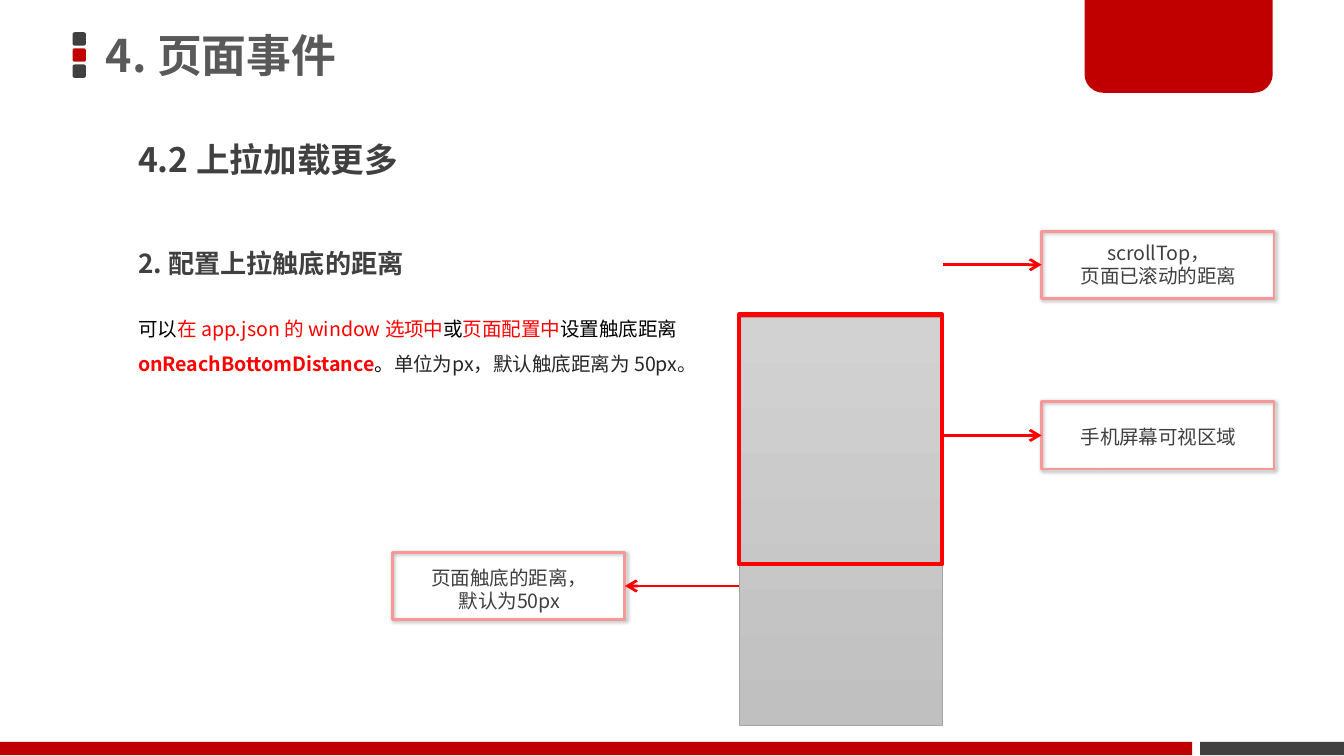
from dataclasses import dataclass

from lxml.etree import SubElement
from pptx import Presentation
from pptx.dml.color import RGBColor
from pptx.enum.shapes import MSO_CONNECTOR, MSO_SHAPE
from pptx.enum.text import MSO_ANCHOR, PP_ALIGN
from pptx.oxml.ns import qn
from pptx.util import Inches, Pt


@dataclass(frozen=True)
class Theme:
    font: str = "Noto Sans CJK SC"
    brand: str = "C00000"
    dark: str = "404040"
    title: str = "595959"
    ink: str = "262626"
    black: str = "000000"
    red: str = "FF0000"
    pink: str = "F69898"
    page_top: str = "D2D2D2"
    page_bottom: str = "C0C0C0"
    page_edge: str = "A5A5A5"
    title_size: float = 24
    section_size: float = 18
    heading_size: float = 14
    body_size: float = 10.5


theme = Theme()
prs = Presentation()
prs.slide_width = Inches(10)
prs.slide_height = Inches(10) * 9 // 16
s = prs.slides.add_slide(prs.slide_layouts[6])


def add_box(kind, box, fill=None, line=None, width=0):
    sp = s.shapes.add_shape(kind, *map(Inches, box))
    sp.shadow.inherit = False
    if fill:
        sp.fill.solid()
        sp.fill.fore_color.rgb = RGBColor.from_string(fill)
    else:
        sp.fill.background()
    if line:
        sp.line.color.rgb = RGBColor.from_string(line)
        sp.line.width = Pt(width)
    else:
        sp.line.fill.background()
    return sp


def add_text(box, paragraphs, size, spacing=1.0, anchor=MSO_ANCHOR.TOP, align=PP_ALIGN.LEFT):
    """Each paragraph is a list of (text, colour, bold) runs."""
    tf = s.shapes.add_textbox(*map(Inches, box)).text_frame
    tf.word_wrap = True
    tf.vertical_anchor = anchor
    for i, runs in enumerate(paragraphs):
        p = tf.add_paragraph() if i else tf.paragraphs[0]
        p.alignment, p.line_spacing = align, spacing
        for text, colour, bold in runs:
            r = p.add_run()
            r.text = text
            r.font.size, r.font.bold = Pt(size), bold
            r.font.color.rgb = RGBColor.from_string(colour)
            r.font.name = theme.font
            SubElement(r._r.rPr, qn("a:ea"), typeface=theme.font)


# Page frame
for i, colour in enumerate([theme.dark, theme.brand, theme.dark]):
    add_box(MSO_SHAPE.ROUNDED_RECTANGLE, (0.54, 0.24 + 0.12 * i, 0.1, 0.1), colour)
add_box(MSO_SHAPE.RECTANGLE, (8.93, 5.52, 1.07, 0.1), theme.dark)
tab = add_box(MSO_SHAPE.ROUND_2_SAME_RECTANGLE, (8.07, 0, 1.4, 0.69), theme.brand)
tab.adjustments[0], tab.adjustments[1] = 0, 0.2
add_box(MSO_SHAPE.RECTANGLE, (0, 5.52, 8.87, 0.1), theme.brand)

# Headings and explanation
add_text((0.69, 0, 7.37, 0.87), [[("4. 页面事件", theme.title, True)]],
         theme.title_size, 0.9, MSO_ANCHOR.MIDDLE)
add_text((0.93, 1.02, 7.13, 0.59), [[("4.2 上拉加载更多", theme.dark, True)]],
         theme.section_size, 0.9)
add_text((0.93, 2.22, 5.42, 1.1), [[
    ("可以", theme.black, False),
    ("在 app.json 的 window 选项中", theme.red, False),
    ("或", theme.black, False),
    ("页面配置中", theme.red, False),
    ("设置触底距离 ", theme.black, False),
    ("onReachBottomDistance", theme.red, True),
    ("。", theme.black, False),
    ("单位为px，默认触底距离为 50px。", theme.ink, False),
]], theme.body_size, 1.5)
add_text((0.93, 1.82, 7.1, 0.31), [[("2. 配置上拉触底的距离", theme.dark, True)]],
         theme.heading_size, 0.9)

# Scrolling page and the visible phone screen
page = add_box(MSO_SHAPE.RECTANGLE, (5.5, 2.36, 1.51, 3.04), line=theme.page_edge, width=0.5)
page.fill.gradient()
page.fill.gradient_angle = 270
for stop, colour in zip(page.fill.gradient_stops, [theme.page_top, theme.page_bottom]):
    stop.color.rgb = RGBColor.from_string(colour)
add_box(MSO_SHAPE.RECTANGLE, (5.5, 2.34, 1.51, 1.86), line=theme.red, width=2.25)

# Callouts: left, top, text top, text height, arrow start, joined side, lines
LEFT_SIDE, RIGHT_SIDE = 1, 3
callouts = [
    (2.92, 4.11, 4.16, 0.63, 5.5, RIGHT_SIDE, ["页面触底的距离，默认为50px"]),
    (7.75, 1.72, 1.74, 0.45, 7.02, LEFT_SIDE, ["scrollTop，", "页面已滚动的距离"]),
    (7.75, 2.99, 3.11, 0.28, 7.02, LEFT_SIDE, ["手机屏幕可视区域"]),
]
for left, top, text_top, text_height, start, side, lines in callouts:
    frame = add_box(MSO_SHAPE.RECTANGLE, (left, top, 1.73, 0.5), line=theme.pink, width=1.5)
    shadow = SubElement(frame._element.spPr.find(qn("a:effectLst")), qn("a:outerShdw"),
                        blurRad=str(Pt(2)), dist=str(Pt(1)), dir="2700000",
                        algn="tl", rotWithShape="0")
    tint = SubElement(shadow, qn("a:srgbClr"), val=theme.black)
    SubElement(tint, qn("a:alpha"), val="30000")

    add_text((left + 0.16, text_top, 1.42, text_height),
             [[(line, theme.dark, False)] for line in lines],
             theme.body_size, align=PP_ALIGN.CENTER)

    y = Inches(top + 0.25)
    arrow = s.shapes.add_connector(MSO_CONNECTOR.STRAIGHT, Inches(start), y, Inches(left), y)
    arrow.end_connect(frame, side)
    arrow.line.color.rgb = RGBColor.from_string(theme.red)
    arrow.line.width = Pt(1.5)
    SubElement(arrow._element.spPr.find(qn("a:ln")), qn("a:tailEnd"), type="arrow")
    SubElement(arrow._element.spPr, qn("a:effectLst"))

prs.save("out.pptx")
